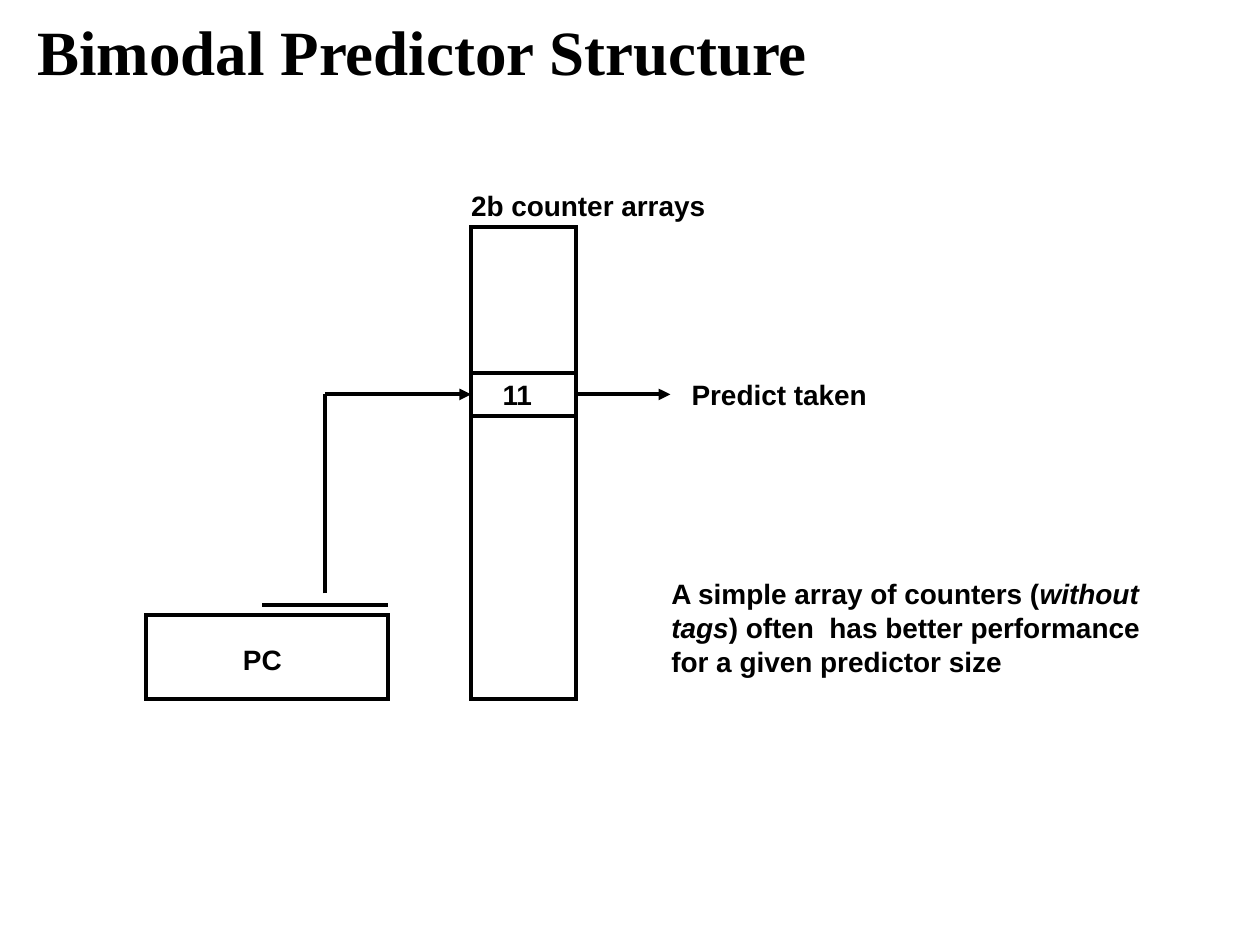
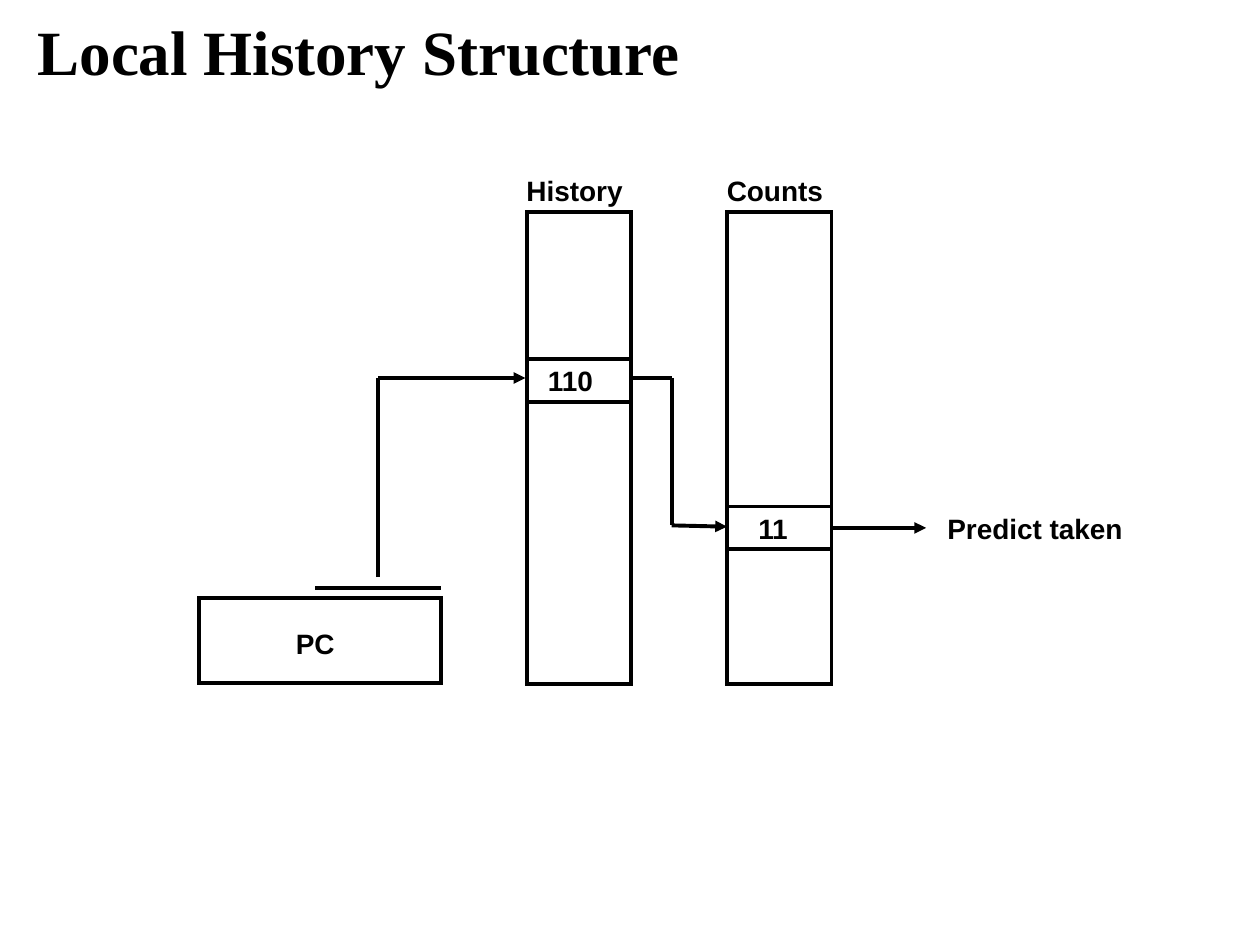
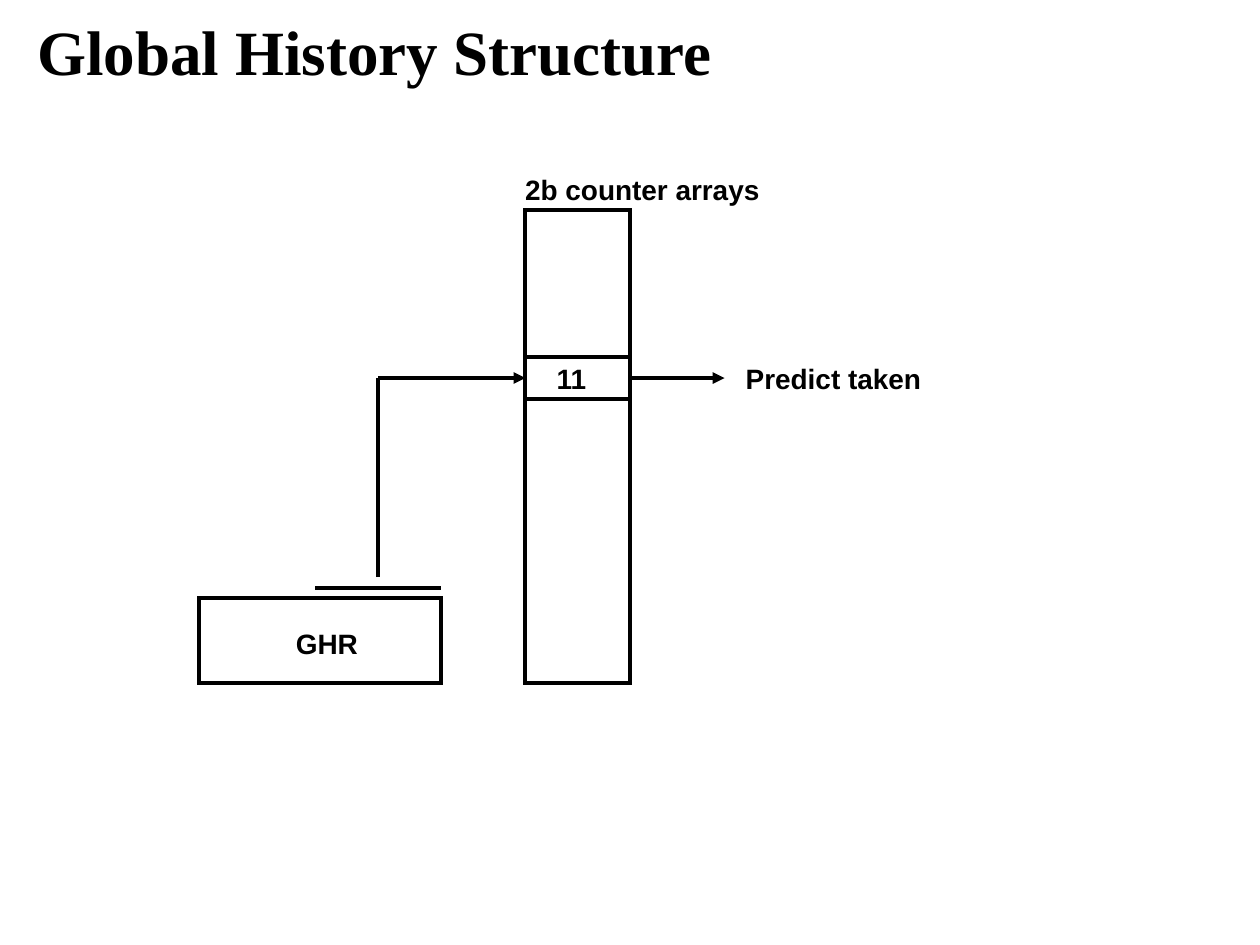
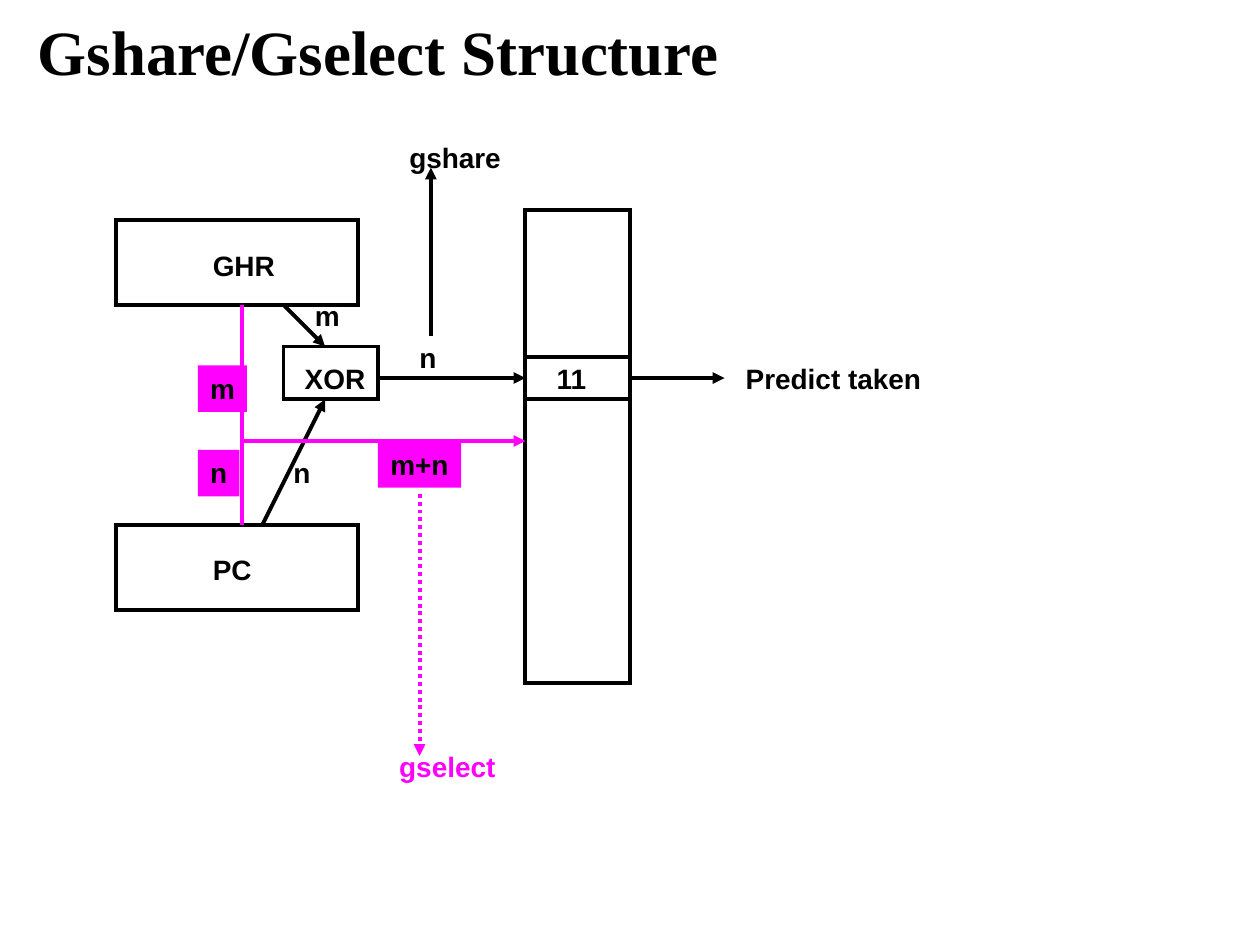
"""Build four slides that diagram branch predictor structures."""
from dataclasses import dataclass

from lxml import etree
from pptx import Presentation
from pptx.dml.color import RGBColor
from pptx.enum import dml, shapes, text
from pptx.oxml import ns
from pptx.util import Inches, Pt


@dataclass(frozen=True)
class Theme:
    ink: str = "000000"
    accent: str = "FF00FF"
    title_font: str = "Times New Roman"
    body_font: str = "Arial"
    title_size: int = 36
    body_size: int = 16
    line_width: float = 2.25


T = Theme()
SLIDE_SIZE = (10, 7.5)
TITLE_BOX = (0.2, 0.04, 8.66, 0.71)
LABEL_HEIGHT = 0.37
REGISTER = (1.92, 0.67)
ARRAY = (0.83, 3.75)
ENTRY_HEIGHT = 0.34
OUTPUT_LENGTH = 0.75
OUTPUT_LABEL = "Predict taken"

WIDTHS = {
    "PC": 0.51, "GHR": 0.69, "XOR": 0.68, "11": 0.44, "110": 0.57,
    "2b counter arrays": 2.06, "History": 0.98, "Counts": 0.98,
    OUTPUT_LABEL: 1.59, "m": 0.39, "n": 0.33, "m+n": 0.66,
    "gshare": 0.94, "gselect": 0.98,
}

NOTE = [
    [("A simple array of counters (", False), ("without", True)],
    [("tags", True), (") often  has better performance", False)],
    [("for a given predictor size", False)],
]

SLIDES = [
    {
        "title": "Bimodal Predictor Structure",
        "registers": [("PC", 1.16, 4.88)],
        "feed": 3.74,
        "arrays": [{"head": "2b counter arrays", "at": (3.74, 1.8), "entry": "11",
                    "drop": 1.16, "indent": 0.15, "output": True}],
        "note": (5.23, 4.53, 3.98, 0.9),
    },
    {
        "title": "Local History Structure",
        "registers": [("PC", 1.58, 4.75)],
        "feed": 4.17,
        "arrays": [
            {"head": "History", "at": (4.18, 1.68), "entry": "110",
             "drop": 1.17, "indent": 0.07, "output": False},
            {"head": "Counts", "at": (5.77, 1.68), "entry": "11",
             "drop": 2.34, "indent": 0.15, "output": True},
        ],
        "paths": [([(5, 3), (5.33, 3), (5.33, 4.17), (5.77, 4.18)], {"arrow": True})],
    },
    {
        "title": "Global History Structure",
        "registers": [("GHR", 1.58, 4.75)],
        "feed": 4.17,
        "arrays": [{"head": "2b counter arrays", "at": (4.17, 1.67), "entry": "11",
                    "drop": 1.16, "indent": 0.15, "output": True}],
    },
    {
        "title": "Gshare/Gselect Structure",
        "registers": [("PC", 0.92, 4.17), ("GHR", 0.92, 1.75)],
        "gates": [("XOR", 2.25, 2.75, 0.75, 0.42)],
        "arrays": [{"at": (4.17, 1.67), "entry": "11",
                    "drop": 1.16, "indent": 0.15, "output": True}],
        "paths": [
            ([(3, 3), (4.17, 3)], {"arrow": True}),
            ([(2.25, 2.42), (2.58, 2.75)], {"arrow": True}),
            ([(2.08, 4.17), (2.58, 3.17)], {"arrow": True}),
            ([(1.92, 2.42), (1.92, 4.17)], {"color": T.accent}),
            ([(1.92, 3.5), (4.17, 3.5)], {"color": T.accent, "arrow": True}),
            ([(3.33, 3.92), (3.33, 6)], {"color": T.accent, "arrow": True, "dotted": True}),
            ([(3.42, 2.67), (3.42, 1.33)], {"arrow": True}),
        ],
        "labels": [("n", 2.23, 3.57), ("m", 2.4, 2.32), ("n", 3.23, 2.65),
                   ("gshare", 3.15, 1.07)],
        "accent_labels": [("gselect", 3.07, 5.9)],
        "chips": [("m", 1.57, 2.9), ("n", 1.57, 3.57), ("m+n", 3, 3.5)],
    },
]


def rgb(color):
    return RGBColor.from_string(color)


def inches(*values):
    return [Inches(v) for v in values]


def write(sp, paragraphs, color=T.ink, **formats):
    font = {"name": T.body_font, "size": Pt(T.body_size), "bold": True, **formats}
    tf = sp.text_frame
    frame = {"word_wrap": False, "auto_size": text.MSO_AUTO_SIZE.SHAPE_TO_FIT_TEXT,
             "vertical_anchor": text.MSO_ANCHOR.TOP}
    for key, value in frame.items():
        setattr(tf, key, value)
    for i, runs in enumerate(paragraphs):
        p = tf.add_paragraph() if i else tf.paragraphs[0]
        p.alignment = text.PP_ALIGN.LEFT
        for words, italic in runs:
            r = p.add_run()
            r.text = words
            for key, value in {**font, "italic": italic}.items():
                setattr(r.font, key, value)
            r.font.color.rgb = rgb(color)


def add_label(s, words, x, y, color=T.ink):
    sp = s.shapes.add_textbox(*inches(x, y, WIDTHS[words], LABEL_HEIGHT))
    write(sp, [[(words, False)]], color)


def add_title(s, words):
    sp = s.shapes.add_textbox(*inches(*TITLE_BOX))
    write(sp, [[(words, False)]], name=T.title_font, size=Pt(T.title_size))
    tf = sp.text_frame
    tf.word_wrap = True
    tf.auto_size = text.MSO_AUTO_SIZE.NONE
    tf.vertical_anchor = text.MSO_ANCHOR.MIDDLE


def add_box(s, x, y, w, h, fill=None):
    sp = s.shapes.add_shape(shapes.MSO_SHAPE.RECTANGLE, *inches(x, y, w, h))
    sp.shadow.inherit = False
    if fill:
        sp.fill.solid()
        sp.fill.fore_color.rgb = rgb(fill)
        sp.line.fill.background()
    else:
        sp.fill.background()
        sp.line.color.rgb = rgb(T.ink)
        sp.line.width = Pt(T.line_width)
        outline = sp._element.spPr.find(ns.qn("a:ln"))
        etree.SubElement(outline, ns.qn("a:miter"), lim="800000")
    return sp


def add_line(s, start, end, color=T.ink, arrow=False, dotted=False):
    c = s.shapes.add_connector(shapes.MSO_CONNECTOR.STRAIGHT, *inches(*start, *end))
    c.line.color.rgb = rgb(color)
    c.line.width = Pt(T.line_width)
    if dotted:
        c.line.dash_style = dml.MSO_LINE.ROUND_DOT
    props = c._element.spPr
    if arrow:
        etree.SubElement(props.find(ns.qn("a:ln")), ns.qn("a:tailEnd"), type="triangle")
    etree.SubElement(props, ns.qn("a:effectLst"))


def add_path(s, points, arrow=False, **style):
    last = len(points) - 2
    for i, (start, end) in enumerate(zip(points, points[1:])):
        add_line(s, start, end, arrow=arrow and i == last, **style)


def add_register(s, name, x, y):
    add_box(s, x, y, *REGISTER)
    add_label(s, name, x + 0.67, y + 0.17)


def add_feed(s, x, y, target):
    add_line(s, (x + 0.92, y - 0.08), (x + 1.92, y - 0.08))
    turn, level = x + 1.42, y - 1.75
    add_path(s, [(turn, y - 0.17), (turn, level), (target, level)], arrow=True)


def add_array(s, at, entry, drop, indent, output, head=None):
    x, y = at
    right, top = x + ARRAY[0], y + drop
    add_box(s, x, y, *ARRAY)
    if head:
        add_label(s, head, x - 0.1, y - 0.35)
    for level in (top, top + ENTRY_HEIGHT):
        add_line(s, (x, level), (right, level))
    add_label(s, entry, x + indent, top - 0.01)
    if output:
        middle, tip = top + ENTRY_HEIGHT / 2, right + OUTPUT_LENGTH
        add_line(s, (right, middle), (tip, middle), arrow=True)
        add_label(s, OUTPUT_LABEL, tip + 0.07, top - 0.01)


def build_slide(prs, content):
    s = prs.slides.add_slide(prs.slide_layouts[6])
    add_title(s, content["title"])
    for register in content["registers"]:
        add_register(s, *register)
    for name, x, y, w, h in content.get("gates", []):
        add_box(s, x, y, w, h)
        add_label(s, name, x + 0.07, y + 0.07)
    if "feed" in content:
        add_feed(s, *content["registers"][0][1:], content["feed"])
    for array in content["arrays"]:
        add_array(s, **array)
    for points, style in content.get("paths", []):
        add_path(s, points, **style)
    for key, color in (("labels", T.ink), ("accent_labels", T.accent)):
        for words, x, y in content.get(key, []):
            add_label(s, words, x, y, color)
    for words, x, y in content.get("chips", []):
        write(add_box(s, x, y, WIDTHS[words], LABEL_HEIGHT, T.accent), [[(words, False)]])
    if "note" in content:
        write(s.shapes.add_textbox(*inches(*content["note"])), NOTE)


def main():
    prs = Presentation()
    prs.slide_width, prs.slide_height = inches(*SLIDE_SIZE)
    for content in SLIDES:
        build_slide(prs, content)
    prs.save("out.pptx")


if __name__ == "__main__":
    main()
